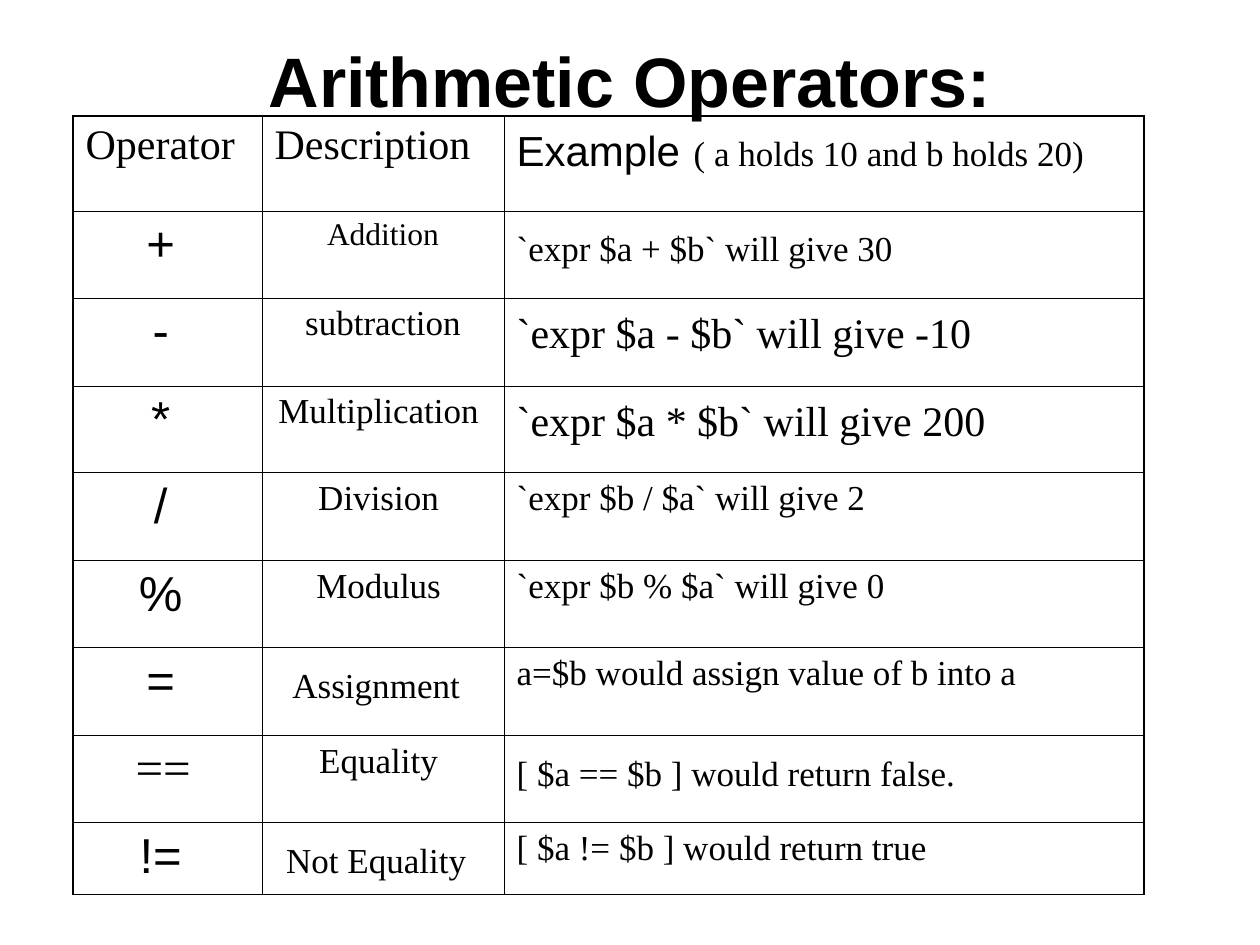
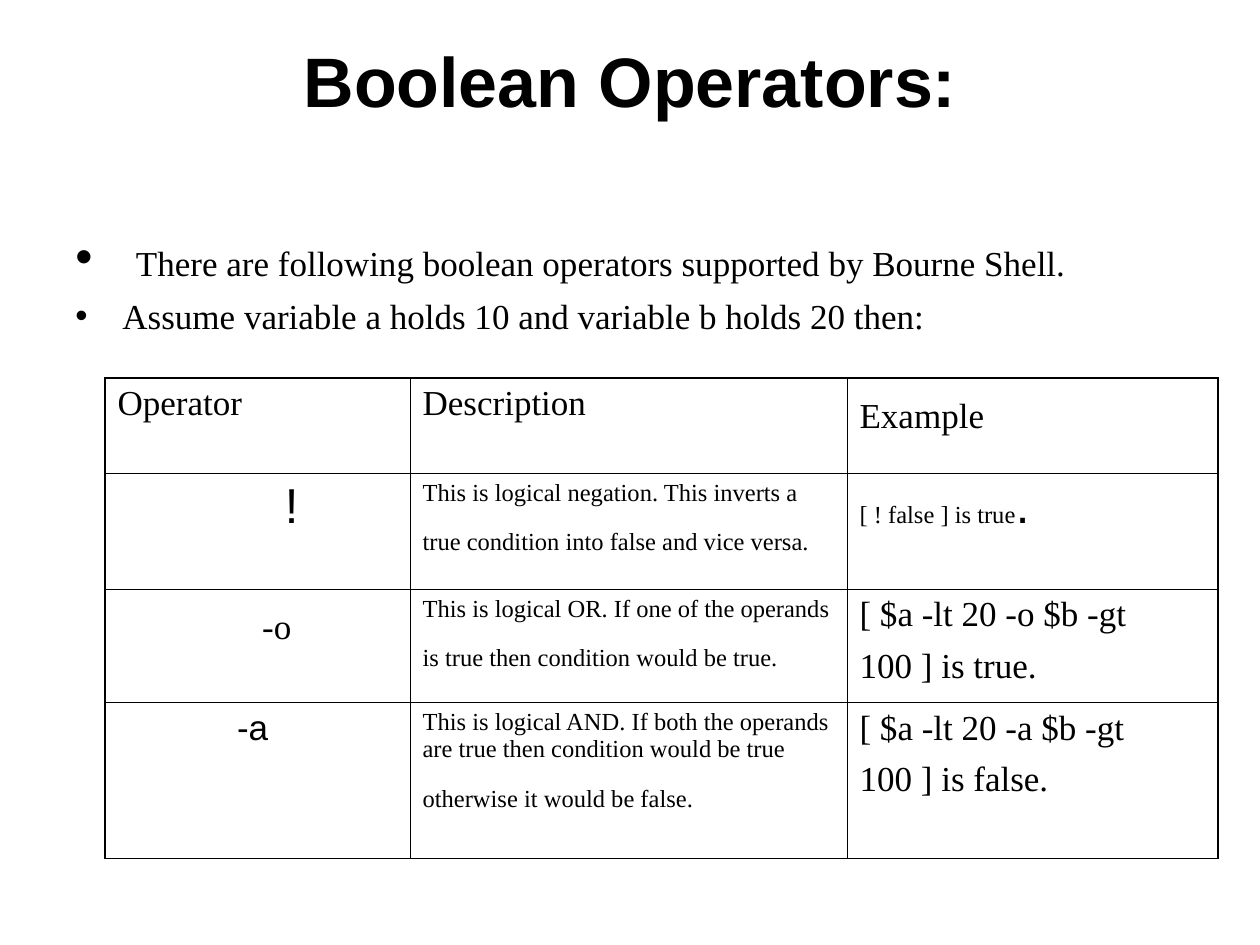
"""Build two slides of shell operator tables."""
from lxml import etree
from pptx import Presentation
from pptx.dml.color import RGBColor
from pptx.enum.text import MSO_ANCHOR, PP_ALIGN
from pptx.oxml.ns import qn
from pptx.util import Emu, Pt

LEFT, CENTER = PP_ALIGN.LEFT, PP_ALIGN.CENTER
TOP = MSO_ANCHOR.TOP
COLORS = {"ink": "000000", "paper": "FFFFFF"}
SANS, SERIF = "Arial", "Times New Roman"
OUTER, INNER = 1.08, 0.45
PX_PER_INCH = 126


def sans(text, size=28):
    return text, size, SANS


def serif(text, size=20):
    return text, size, SERIF


GAP = sans(" ")

SLIDES = [
    {
        "title": "Arithmetic Operators:",
        "bullets": [],
        "at": (73, 116),
        "columns": [189, 242, 640],
        "rows": [95, 87, 88, 87, 88, 87, 88, 87, 72],
        "aligns": [CENTER, CENTER, LEFT],
        "indents": {},
        "cells": [
            [[serif("Operator", 24)], [serif("Description", 24)],
             [sans("Example", 24), GAP, serif("( a holds 10 and b holds 20)")]],
            [[sans("+ ")], [serif("Addition", 18)], [serif("`expr $a + $b` will give 30"), GAP]],
            [[sans("- ")], [serif("subtraction")], [serif("`expr $a - $b` will give -10", 24), GAP]],
            [[sans("* ")], [serif("Multiplication ")], [serif("`expr $a * $b` will give 200", 24), GAP]],
            [[sans("/ ")], [serif("Division ")], [serif("`expr $b / $a` will give 2")]],
            [[sans("% ")], [serif("Modulus ")], [serif("`expr $b % $a` will give 0")]],
            [[sans("= ")], [serif("Assignment"), GAP], [serif("a=$b would assign value of b into a")]],
            [[serif("==", 28), serif(" ")], [serif("Equality ")],
             [serif("[ $a == $b ] would return false."), GAP]],
            [[sans("!= ")], [serif("Not Equality"), GAP], [serif("[ $a != $b ] would return true")]],
        ],
    },
    {
        "title": "Boolean Operators:",
        "bullets": [
            [GAP, serif("There are following boolean operators supported by Bourne Shell.")],
            [serif("Assume variable a holds 10 and variable b holds 20 then:")],
        ],
        "at": (105, 378),
        "columns": [305, 437, 371],
        "rows": [95, 116, 113, 156],
        "aligns": [CENTER, LEFT, LEFT],
        "indents": {(1, 0): 82, (2, 0): 52},
        "cells": [
            [[serif("Operator")], [serif("Description")], [serif("Example"), GAP]],
            [[sans("! ")],
             [serif("This is logical negation. This inverts a true condition into false and vice versa.", 14), GAP],
             [serif("[ ! false ] is true", 14), sans(".")]],
            [[serif("-o"), GAP],
             [serif("This is logical OR. If one of the operands is true then condition would be true.", 14), GAP],
             [serif("[ $a -lt 20 -o $b -gt 100 ] is true."), GAP]],
            [[sans("-a ", 20)],
             [serif("This is logical AND. If both the operands are true then condition would be true "
                    "otherwise it would be false.", 14), GAP],
             [serif("[ $a -lt 20 -a $b -gt 100 ] is false."), GAP]],
        ],
    },
]


def px(length):
    return Emu(round(length * 914400 / PX_PER_INCH))


def write(para, spans, align=LEFT, bold=False, indent=0, bullet=None, before=0):
    """Fill a paragraph with (text, size, font) spans."""
    properties = para._p.get_or_add_pPr()
    if indent:
        properties.set("marL", str(px(indent)))
    if bullet:
        properties.set("indent", str(-px(indent)))
        etree.SubElement(properties, qn("a:buFont"), typeface=SANS)
        etree.SubElement(properties, qn("a:buChar"), char=bullet)
    para.alignment = align
    if before:
        para.space_before = Pt(before)
    for text, size, face in spans:
        span = para.add_run()
        span.text = text
        span.font.size = Pt(size)
        span.font.name = face
        span.font.bold = bold
        span.font.color.rgb = RGBColor.from_string(COLORS["ink"])


def add_text_box(page, left, top, width, height):
    frame = page.shapes.add_textbox(px(left), px(top), px(width), px(height)).text_frame
    frame.word_wrap = True
    frame.vertical_anchor = TOP
    return frame


def set_borders(cell, widths):
    properties = cell._tc.get_or_add_tcPr()
    for position, (side, width) in enumerate(widths.items()):
        line = etree.Element(qn(f"a:ln{side}"), w=str(Pt(width)))
        fill = etree.SubElement(line, qn("a:solidFill"))
        etree.SubElement(fill, qn("a:srgbClr"), val=COLORS["ink"])
        properties.insert(position, line)


def add_operator_table(page, content):
    columns, rows = content["columns"], content["rows"]
    left, top = content["at"]
    table = page.shapes.add_table(len(rows), len(columns), px(left), px(top),
                                  px(sum(columns)), px(sum(rows))).table
    table.first_row = table.horz_banding = False
    for column, width in zip(table.columns, columns):
        column.width = px(width)
    for r, height in enumerate(rows):
        table.rows[r].height = px(height)
        for c, spans in enumerate(content["cells"][r]):
            cell = table.cell(r, c)
            cell.fill.background()
            set_borders(cell, {
                "L": OUTER if c == 0 else INNER,
                "R": OUTER if c == len(columns) - 1 else INNER,
                "T": OUTER if r == 0 else INNER,
                "B": OUTER if r == len(rows) - 1 else INNER,
            })
            write(cell.text_frame.paragraphs[0], spans,
                  align=content["aligns"][c] if r else LEFT,
                  indent=content["indents"].get((r, c), 0))


def add_page(deck, content):
    page = deck.slides.add_slide(deck.slide_layouts[6])
    page.background.fill.solid()
    page.background.fill.fore_color.rgb = RGBColor.from_string(COLORS["paper"])
    title = add_text_box(page, 63, 38, 1134, 157)
    title.margin_top = 0
    write(title.paragraphs[0], [sans(content["title"], 40)], align=CENTER, bold=True)
    if content["bullets"]:
        body = add_text_box(page, 63, 221, 1050, 147)
        for number, spans in enumerate(content["bullets"]):
            para = body.add_paragraph() if number else body.paragraphs[0]
            write(para, spans, indent=47, bullet="•", before=5 if number else 0)
    add_operator_table(page, content)


def main():
    deck = Presentation()
    deck.slide_width, deck.slide_height = px(1260), px(945)
    for content in SLIDES:
        add_page(deck, content)
    deck.save("out.pptx")


if __name__ == "__main__":
    main()
